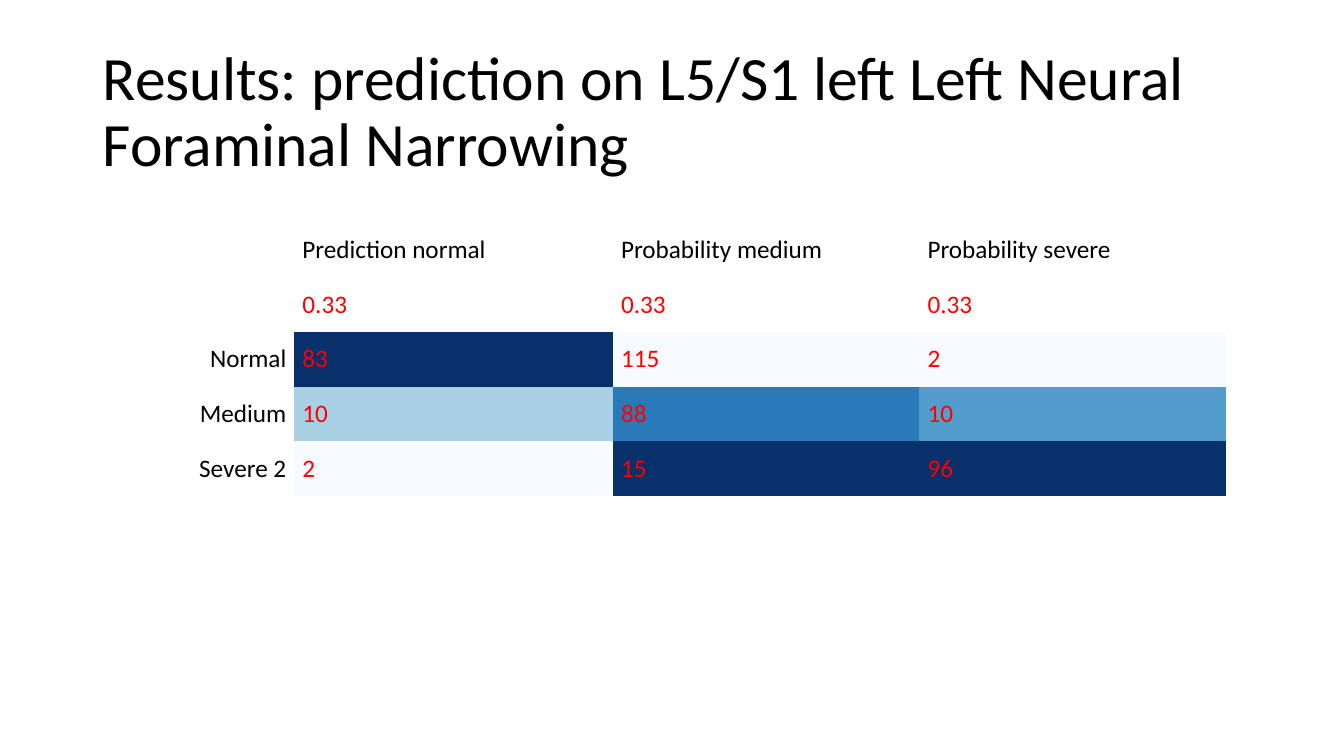
from pptx import Presentation
from pptx.dml.color import RGBColor
from pptx.enum.text import MSO_ANCHOR, PP_ALIGN
from pptx.oxml.ns import qn
from pptx.util import Inches, Pt

FONT = "Calibri"
BLACK = RGBColor(0x00, 0x00, 0x00)
RED = RGBColor(0xFF, 0x00, 0x00)
NAVY = RGBColor(0x08, 0x30, 0x6B)
BLUE = RGBColor(0x2A, 0x7A, 0xB9)
SKY = RGBColor(0x52, 0x9D, 0xCC)
PALE = RGBColor(0xA9, 0xCF, 0xE5)
ICE = RGBColor(0xF7, 0xFB, 0xFF)

NO_GRID_STYLE = "{2D5ABB26-0587-4C30-8999-92F81FD0307C}"
COLUMN_WIDTHS = [2.92, 3.16, 3.04, 3.04]
ROW_HEIGHT = 0.542
ROWS = [
    ["", "Prediction normal", "Probability medium", "Probability severe"],
    ["", "0.33", "0.33", "0.33"],
    ["Normal", "83", "115", "2"],
    ["Medium", "10", "88", "10"],
    ["Severe 2", "2", "15", "96"],
]
HEAT = [
    [NAVY, ICE, ICE],
    [PALE, BLUE, SKY],
    [ICE, NAVY, NAVY],
]
FIRST_HEAT_ROW = len(ROWS) - len(HEAT)


def write_text(frame, text, size=18, color=BLACK, align=PP_ALIGN.LEFT, spacing=1.0):
    para = frame.paragraphs[0]
    para.alignment = align
    para.line_spacing = spacing
    para.font.size = Pt(size)
    if text:
        span = para.add_run()
        span.text = text
        span.font.name = FONT
        span.font.size = Pt(size)
        span.font.color.rgb = color


def add_title(page, text):
    box = page.shapes.add_textbox(Inches(0.92), Inches(0.4), Inches(11.5), Inches(1.45))
    frame = box.text_frame
    frame.word_wrap = True
    frame.vertical_anchor = MSO_ANCHOR.MIDDLE
    write_text(frame, text, size=44, spacing=0.9)


def fill_cell(cell, row, column):
    cell.vertical_anchor = MSO_ANCHOR.MIDDLE
    cell.margin_left = cell.margin_right = Inches(0.08)
    cell.margin_top = cell.margin_bottom = Inches(0.04)
    is_value = row > 0 and column > 0
    write_text(
        cell.text_frame,
        ROWS[row][column],
        color=RED if is_value else BLACK,
        align=PP_ALIGN.LEFT if column else PP_ALIGN.RIGHT,
    )
    if column > 0 and row >= FIRST_HEAT_ROW:
        cell.fill.solid()
        cell.fill.fore_color.rgb = HEAT[row - FIRST_HEAT_ROW][column - 1]
    else:
        cell.fill.background()


def add_heat_table(page):
    holder = page.shapes.add_table(
        len(ROWS), len(COLUMN_WIDTHS), Inches(0), Inches(2.21),
        Inches(sum(COLUMN_WIDTHS)), Inches(ROW_HEIGHT * len(ROWS)),
    )
    for style in holder.element.iter(qn("a:tableStyleId")):
        style.text = NO_GRID_STYLE
    table = holder.table
    table.first_row = False
    table.horz_banding = False
    for column, width in zip(table.columns, COLUMN_WIDTHS):
        column.width = Inches(width)
    for row in range(len(ROWS)):
        table.rows[row].height = Inches(ROW_HEIGHT)
        for column in range(len(COLUMN_WIDTHS)):
            fill_cell(table.cell(row, column), row, column)


def main():
    deck = Presentation()
    deck.slide_width = Inches(13.33)
    deck.slide_height = Inches(7.5)
    page = deck.slides.add_slide(deck.slide_layouts[6])
    add_title(page, "Results: prediction on L5/S1 left Left Neural Foraminal Narrowing")
    add_heat_table(page)
    deck.save("out.pptx")


if __name__ == "__main__":
    main()
